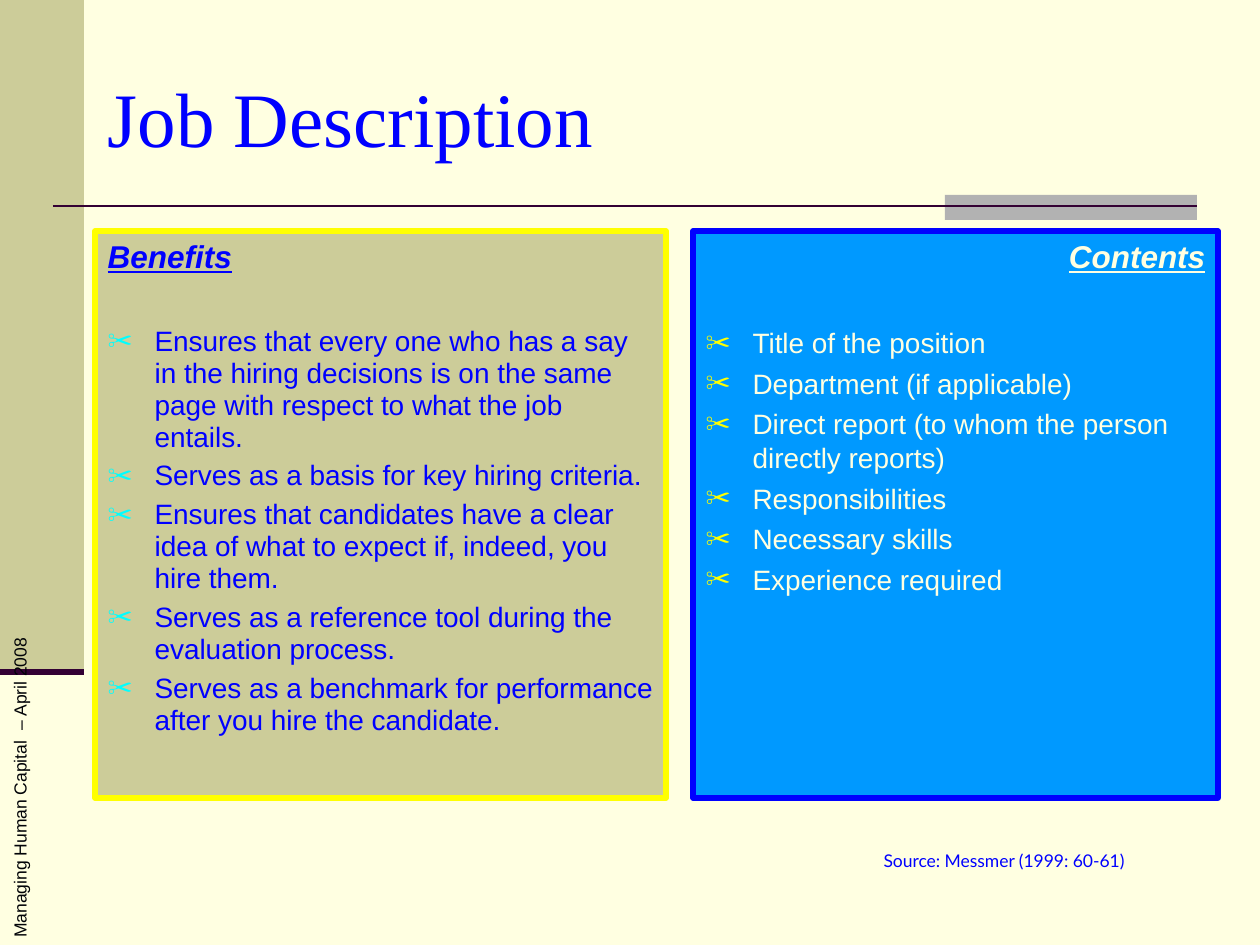
from lxml.etree import SubElement
from pptx import Presentation
from pptx.dml.color import RGBColor
from pptx.enum.shapes import MSO_CONNECTOR as Connector, MSO_SHAPE as Shape
from pptx.enum.text import MSO_ANCHOR as Anchor, MSO_AUTO_SIZE as AutoSize, PP_ALIGN as Align
from pptx.oxml.ns import qn
from pptx.util import Pt

SCALE = 914400 / 126
CREAM, KHAKI, GREY, PLUM = "FFFFE1", "CCCC99", "B2B2B2", "330033"
BLUE, SKY, YELLOW, CYAN, INK = "0000FF", "0099FF", "FFFF00", "00FFFF", "010307"
BENEFITS = [
    "Ensures that every one who has a say in the hiring decisions is on the same page "
    "with respect to what the job entails.",
    "Serves as a basis for key hiring criteria.",
    "Ensures that candidates have a clear idea of what to expect if, indeed, you hire them.",
    "Serves as a reference tool during the evaluation process.",
    "Serves as a benchmark for performance after you hire the candidate.",
]
CONTENTS = [
    "Title of the position",
    "Department (if applicable)",
    "Direct report (to whom the person directly reports)",
    "Responsibilities",
    "Necessary skills",
    "Experience required",
]


def px(*lengths):
    """Turn pixel lengths into EMU."""
    return [round(length * SCALE) for length in lengths]


def paint(color_format, color):
    """Set a colour from a hex string."""
    color_format.rgb = RGBColor.from_string(color)


def fill_with(fill, color):
    """Apply a solid fill."""
    fill.solid()
    paint(fill.fore_color, color)


def style(span, size, font, color):
    """Format a run."""
    span.font.size, span.font.name = Pt(size), font
    paint(span.font.color, color)


def place(box, *frame):
    """Move and size a box."""
    box.left, box.top, box.width, box.height = px(*frame)


def add_block(page, frame, color):
    """Add a plain rectangle."""
    block = page.shapes.add_shape(Shape.RECTANGLE, *px(*frame))
    block.shadow.inherit = False
    fill_with(block.fill, color)
    block.line.fill.background()


def add_rule(page, left, right, top, width):
    """Add a horizontal line."""
    rule = page.shapes.add_connector(Connector.STRAIGHT, *px(left, top, right, top))
    SubElement(rule._element.spPr, qn("a:effectLst"))
    paint(rule.line.color, PLUM)
    rule.line.width = Pt(width)


def add_label(page, frame, spans, align=Align.LEFT, rotation=0):
    """Add a one-line text box of (text, size, font, color) spans."""
    box = page.shapes.add_textbox(*px(*frame))
    box.rotation = rotation
    box.text_frame.word_wrap = False
    para = box.text_frame.paragraphs[0]
    para.alignment = align
    for text, *look in spans:
        span = para.add_run()
        span.text = text
        style(span, *look)


def set_bullet(para, color=None):
    """Give a paragraph a scissors bullet, or none."""
    props = para._p.get_or_add_pPr()
    indent = px(47)[0] if color else 0
    props.set("marL", str(indent))
    props.set("indent", str(-indent))
    if not color:
        SubElement(props, qn("a:buNone"))
        return
    SubElement(SubElement(props, qn("a:buClr")), qn("a:srgbClr"), val=color)
    SubElement(props, qn("a:buSzPct"), val="90000")
    SubElement(props, qn("a:buChar"), char="✂")


def fill_title(title, text):
    """Write the slide title."""
    place(title, 95, 38, 1102, 158)
    title.text_frame.text = text
    title.text_frame.vertical_anchor = Anchor.MIDDLE
    para = title.text_frame.paragraphs[0]
    para.alignment = Align.LEFT
    style(para.runs[0], 44, "Times New Roman", BLUE)


def fill_panel(panel, left, width, heading, items, fill, border, ink, bullet,
               align=Align.LEFT, spacing=1.0):
    """Write a framed panel with a heading and a bulleted list."""
    place(panel, left, 231, width, 567)
    fill_with(panel.fill, fill)
    paint(panel.line.color, border)
    panel.line.width = Pt(3)
    frame = panel.text_frame
    frame.text = "\n".join([heading, *items])
    frame.auto_size = AutoSize.NONE
    frame.vertical_anchor = Anchor.TOP
    title, *entries = frame.paragraphs
    set_bullet(title)
    title.alignment = align
    title.space_before = Pt(0)
    style(title.runs[0], 18, "Arial", ink)
    font = title.runs[0].font
    font.bold = font.italic = font.underline = True
    for number, para in enumerate(entries):
        set_bullet(para, bullet)
        para.line_spacing = spacing
        para.space_before = Pt(4 if number else 29)
        style(para.runs[0], 16, "Arial", ink)


def main():
    """Build the slide."""
    deck = Presentation()
    deck.slide_width, deck.slide_height = px(1260, 945)
    page = deck.slides.add_slide(deck.slide_layouts[3])
    fill_with(page.background.fill, CREAM)
    add_block(page, (0, 0, 84, 672), KHAKI)
    add_block(page, (945, 195, 252, 25), GREY)
    add_rule(page, 53, 1197, 206, 1.5)
    add_rule(page, 0, 84, 672, 3.5)
    footer = [
        ("Managing Human Capital", 10, "Arial", INK),
        (" ", 14, "Times New Roman", "000000"),
        (" – April 2008", 10, "Arial", INK),
    ]
    add_label(page, (-147, 764, 329, 43), footer, rotation=270)
    title, benefits, contents = page.placeholders
    fill_title(title, "Job Description")
    fill_panel(benefits, 95, 571, "Benefits", BENEFITS, KHAKI, YELLOW, BLUE, CYAN, spacing=0.95)
    fill_panel(contents, 693, 525, "Contents", CONTENTS, SKY, BLUE, CREAM, YELLOW, Align.RIGHT)
    source = [("Source: Messmer (1999: 60-61)", 10, "Lato", BLUE)]
    add_label(page, (866, 844, 276, 34), source, Align.CENTER)
    deck.save("out.pptx")


if __name__ == "__main__":
    main()
